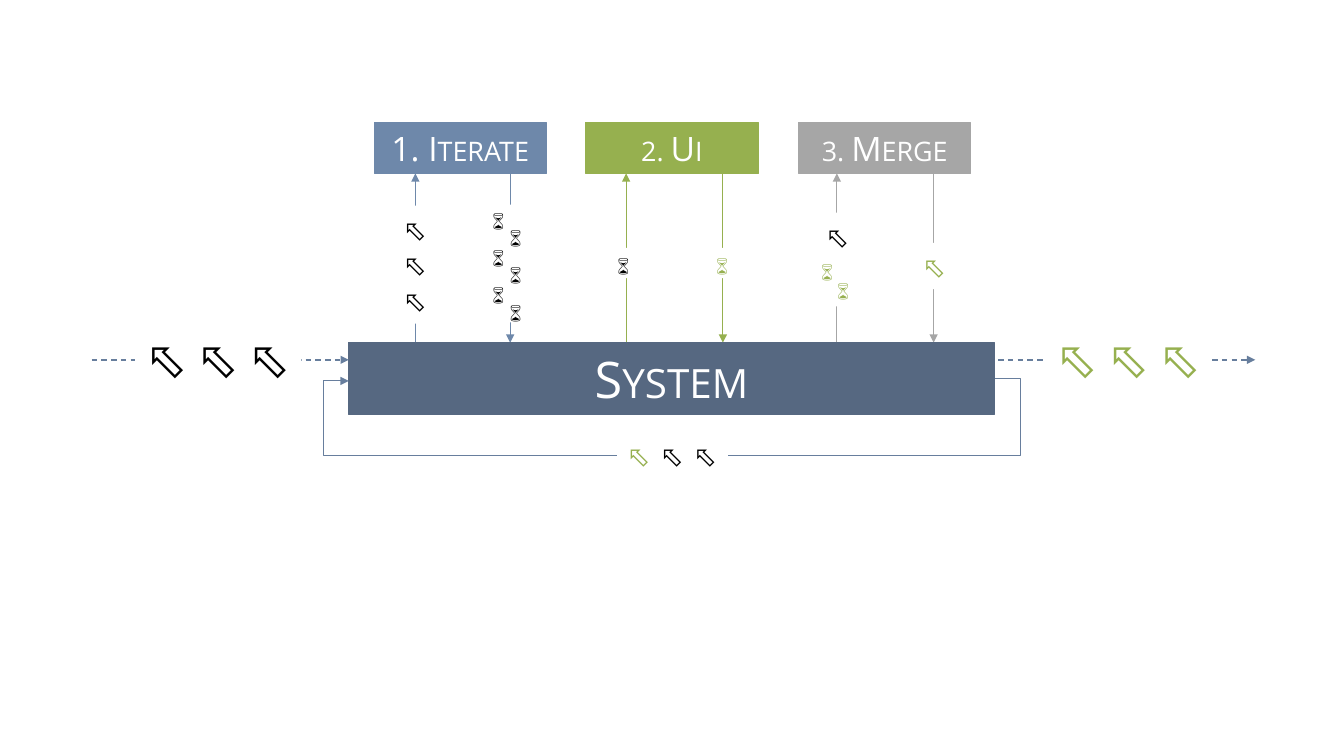
from pptx import Presentation
from pptx.dml.color import RGBColor
from pptx.enum.dml import MSO_LINE
from pptx.enum.shapes import MSO_CONNECTOR, MSO_SHAPE
from pptx.enum.text import MSO_ANCHOR, MSO_AUTO_SIZE, PP_ALIGN
from pptx.oxml.ns import qn
from pptx.util import Inches, Pt
from lxml.etree import SubElement

BLUE, GREEN, GRAY = "6E88AA", "96B04F", "A6A6A6"
NAVY, STEEL, BLACK, WHITE = "566881", "677E9D", "000000", "FFFFFF"
ARROW, HOURGLASS = "\u2b01", "\u231b "
ICON_SIZES = {36: (0.63, 0.71), 20: (0.44, 0.44), 12: (0.41, 0.3)}


def rgb(value):
    return RGBColor.from_string(value)


def add_rect(s, box, fill):
    sp = s.shapes.add_shape(MSO_SHAPE.RECTANGLE, *map(Inches, box))
    sp.shadow.inherit = False
    sp.fill.solid()
    sp.fill.fore_color.rgb = rgb(fill)
    sp.line.fill.background()
    return sp


def style_run(r, size, font, color):
    r.font.size = Pt(size)
    r.font.name = font
    r.font.color.rgb = rgb(color)


def add_block(s, box, parts, size, fill):
    sp = add_rect(s, box, fill)
    sp.line.color.rgb = rgb(fill)
    sp.line.width = Pt(0.75)
    tf = sp.text_frame
    tf.word_wrap = True
    tf.auto_size = MSO_AUTO_SIZE.SHAPE_TO_FIT_TEXT
    tf.vertical_anchor = MSO_ANCHOR.MIDDLE
    p = tf.paragraphs[0]
    p.alignment = PP_ALIGN.CENTER
    for text, small_caps in parts:
        r = p.add_run()
        r.text = text
        style_run(r, size, "Open Sans", WHITE)
        if small_caps:
            r.font._element.set("cap", "small")


def add_icon(s, left, top, icon, size, color):
    width, height = ICON_SIZES[size]
    sp = s.shapes.add_textbox(*map(Inches, (left, top, width, height)))
    tf = sp.text_frame
    tf.text = icon
    tf.word_wrap = False
    tf.auto_size = MSO_AUTO_SIZE.SHAPE_TO_FIT_TEXT
    style_run(tf.paragraphs[0].runs[0], size, "Lato", color)


def style_arrow(sp, color, width):
    sp.line.color.rgb = rgb(color)
    sp.line.width = Pt(width)
    SubElement(sp.line._get_or_add_ln(), qn("a:tailEnd"), type="triangle")


def add_arrow(s, start, end, color, width=0.75):
    sp = s.shapes.add_connector(MSO_CONNECTOR.STRAIGHT, *map(Inches, start + end))
    style_arrow(sp, color, width)
    SubElement(sp._element.spPr, qn("a:effectLst"))
    return sp


def add_step(s, box, parts, color, lanes):
    left, top, width, height = box
    add_block(s, box, parts, 24, color)
    ends = [top + height, top + 2.18]
    for upward, (lane, gap, icons) in zip((True, False), lanes):
        x = left + lane
        start, end = reversed(ends) if upward else ends
        add_arrow(s, (x, start), (x, end), color)
        dx, dy, gap_height = gap
        add_rect(s, (left + dx, top + dy, 0.44, gap_height), WHITE)
        for icon_x, icon_y, icon, size, icon_color in icons:
            add_icon(s, left + icon_x, top + icon_y, icon, size, icon_color)


def add_stream(s, box, color):
    left, top, width, height = box
    sp = add_arrow(s, (left, top + 0.37), (left + width, top + 0.37), STEEL, 1)
    sp.line.dash_style = MSO_LINE.DASH
    gap_left = left + (0.43 if color == BLACK else 0.47)
    add_rect(s, (gap_left, top + 0.03, 1.65, height), WHITE)
    for i in range(3):
        add_icon(s, gap_left + i * 0.51, top, ARROW, 36, color)


def add_loop(s, box):
    left, top, width, height = box
    right, bottom = left + width, top + height
    points = [(right - 0.25, top), (right, top), (right, bottom),
              (left, bottom), (left, top + 0.02), (left + 0.25, top + 0.02)]
    points = [(Inches(x), Inches(y)) for x, y in points]
    builder = s.shapes.build_freeform(*points[0])
    builder.add_line_segments(points[1:], close=False)
    sp = builder.convert_to_shape()
    sp.shadow.inherit = False
    sp.fill.background()
    style_arrow(sp, STEEL, 0.75)
    gap_left, gap_top = left + 2.91, bottom - 0.24
    add_rect(s, (gap_left, gap_top, 1.1, 0.46), WHITE)
    for i, color in enumerate((GREEN, BLACK, BLACK)):
        add_icon(s, gap_left + i * 0.33, gap_top + 0.02, ARROW, 20, color)


prs = Presentation()
prs.slide_width, prs.slide_height = Inches(13.33), Inches(7.5)
s = prs.slides.add_slide(prs.slide_layouts[6])

documents = [(0.19, 0.84 + i * 0.35, ARROW, 20, BLACK) for i in range(3)]
tasks = [(1.08 + i % 2 * 0.17, 0.81 + i // 2 * 0.37 + i % 2 * 0.17, HOURGLASS, 12, BLACK)
         for i in range(6)]
merge_inputs = [(0.17, 0.91, ARROW, 20, BLACK),
                (0.13, 1.32, HOURGLASS, 12, GREEN),
                (0.29, 1.51, HOURGLASS, 12, GREEN)]

steps = [
    (3.71, [("1. ", False), ("Iterate", True)], BLUE,
     [(0.41, (0.19, 0.82, 1.17), documents),
      (1.35, (1.14, 0.81, 1.17), tasks)]),
    (5.81, [("2. Ui", True)], GREEN,
     [(0.4, (0.19, 1.24, 0.3), [(0.22, 1.26, HOURGLASS, 12, BLACK)]),
      (1.36, (1.17, 1.24, 0.3), [(1.2, 1.26, HOURGLASS, 12, GREEN)])]),
    (7.92, [("3. Merge", True)], GRAY,
     [(0.38, (0.17, 0.89, 0.93), merge_inputs),
      (1.34, (1.13, 1.19, 0.46), [(1.13, 1.21, ARROW, 20, GREEN)])]),
]
for left, parts, color, lanes in steps:
    add_step(s, (left, 1.22, 1.71, 0.5), parts, color, lanes)

add_block(s, (3.46, 3.4, 6.4, 0.71), [("System", True)], 36, NAVY)
add_loop(s, (3.21, 3.76, 6.91, 0.76))
for left, color in ((0.91, BLACK), (9.9, GREEN)):
    add_stream(s, (left, 3.2, 2.55, 0.71), color)

prs.save("out.pptx")
